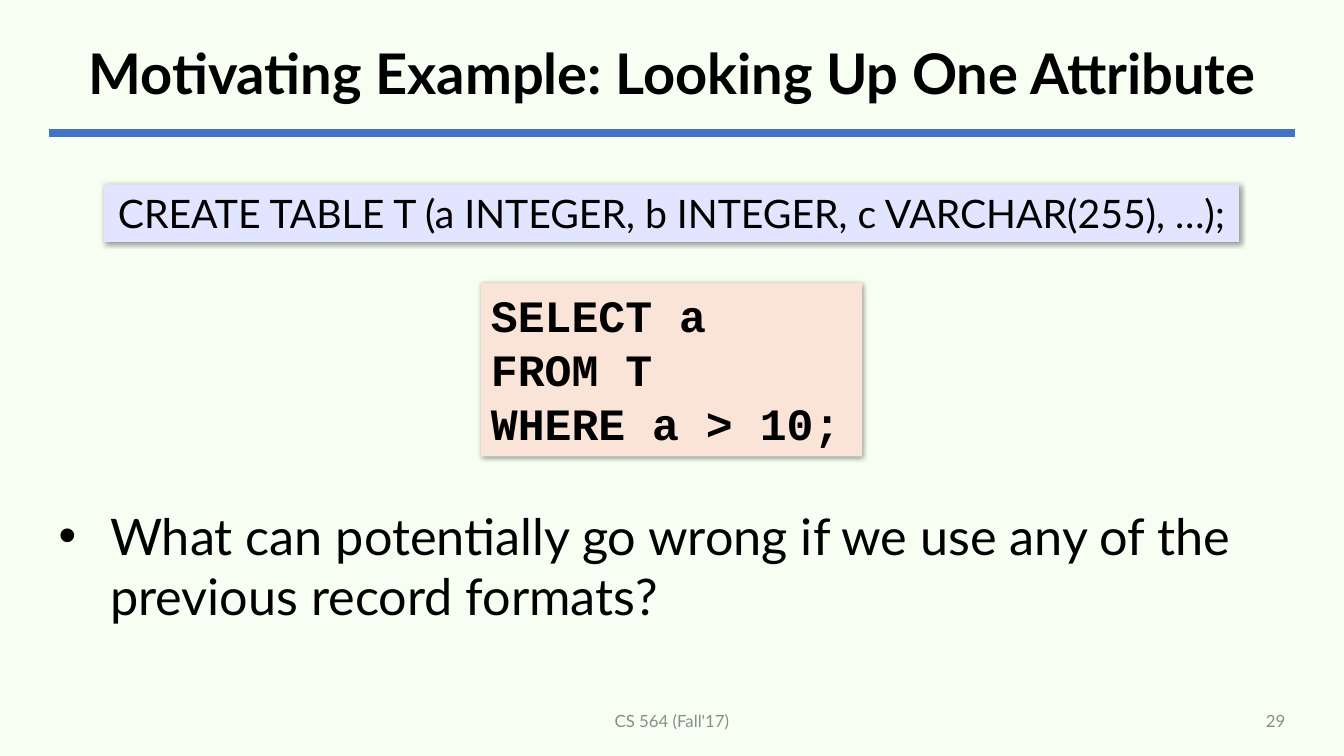
from dataclasses import dataclass

from lxml.etree import SubElement
from pptx import Presentation
from pptx.dml.color import RGBColor
from pptx.enum.shapes import MSO_CONNECTOR, MSO_SHAPE
from pptx.enum.text import MSO_ANCHOR, PP_ALIGN
from pptx.oxml.ns import qn
from pptx.util import Pt


@dataclass(frozen=True)
class Theme:
    """Colours, fonts and type sizes of the slide."""
    background: str = "F7FFF3"
    rule: str = "4472C4"
    ink: str = "000000"
    muted: str = "8C8C8C"
    schema_fill: str = "E2E5FF"
    query_fill: str = "FAE4D7"
    font: str = "Lato"
    code_font: str = "Courier New"
    title_size: int = 40
    question_size: int = 36
    query_size: int = 32
    schema_size: int = 28
    footer_size: int = 12


THEME = Theme()
LEFT, WIDTH = 34.8, 890.4


def apply(target, formats):
    """Set every attribute named in formats on target."""
    for attribute, value in formats.items():
        setattr(target, attribute, value)


def place(shape, left, top, width, height):
    """Move and size a shape in points."""
    apply(shape, {"left": Pt(left), "top": Pt(top), "width": Pt(width), "height": Pt(height)})


def write(shape, lines, size, color=THEME.ink, font=THEME.font, bold=False,
          align=PP_ALIGN.LEFT, anchor=MSO_ANCHOR.TOP, spacing=1.0):
    """Fill a shape with lines of uniformly formatted text."""
    frame = shape.text_frame
    apply(frame, {"text": "\n".join(lines), "word_wrap": True, "vertical_anchor": anchor})
    for paragraph in frame.paragraphs:
        apply(paragraph, {"alignment": align, "line_spacing": spacing})
        for run in paragraph.runs:
            apply(run.font, {"name": font, "size": Pt(size), "bold": bold})
            run.font.color.rgb = RGBColor.from_string(color)


def add_effects(shape):
    """Give a shape an empty effect list and return it."""
    return SubElement(shape._element.spPr, qn("a:effectLst"))


def add_title(slide, title):
    """Place the slide title above its rule."""
    place(slide.shapes.title, LEFT, 17.3, WIDTH, 74.9)
    write(slide.shapes.title, [title], THEME.title_size, bold=True,
          align=PP_ALIGN.CENTER, anchor=MSO_ANCHOR.MIDDLE, spacing=0.9)


def add_rule(slide, top):
    """Draw the rule below the title."""
    rule = slide.shapes.add_connector(
        MSO_CONNECTOR.STRAIGHT, Pt(LEFT), Pt(top), Pt(LEFT + WIDTH), Pt(top))
    rule.line.color.rgb = RGBColor.from_string(THEME.rule)
    rule.line.width = Pt(6)
    add_effects(rule)


def add_text(slide, box, lines, size, **formats):
    """Add a wrapped text box and return it."""
    text = slide.shapes.add_textbox(*map(Pt, box))
    write(text, lines, size, **formats)
    return text


def add_bullet(slide, box, question):
    """Add a bulleted question with a hanging indent."""
    bullet = add_text(slide, box, [question], THEME.question_size)
    properties = bullet.text_frame.paragraphs[0]._p.get_or_add_pPr()
    properties.set("marL", str(Pt(36.7)))
    properties.set("indent", str(-Pt(36.7)))
    SubElement(properties, qn("a:buFont"), typeface="Arial")
    SubElement(properties, qn("a:buChar"), char="•")


def add_statement(slide, box, fill, lines, size, **formats):
    """Add a filled SQL box with a soft shadow."""
    statement = slide.shapes.add_shape(MSO_SHAPE.RECTANGLE, *map(Pt, box))
    statement.fill.solid()
    statement.fill.fore_color.rgb = RGBColor.from_string(fill)
    statement.line.fill.background()
    shadow = SubElement(add_effects(statement), qn("a:outerShdw"), blurRad=str(Pt(4)),
                        dist=str(Pt(1)), dir="2700000", algn="tl", rotWithShape="0")
    color = SubElement(shadow, qn("a:srgbClr"), val=THEME.ink)
    SubElement(color, qn("a:alpha"), val="40000")
    write(statement, lines, size, **formats)


def main():
    """Build the slide and save it."""
    deck = Presentation()
    apply(deck, {"slide_width": Pt(960), "slide_height": Pt(540)})
    slide = deck.slides.add_slide(deck.slide_layouts[5])
    slide.background.fill.solid()
    slide.background.fill.fore_color.rgb = RGBColor.from_string(THEME.background)

    add_rule(slide, 95)
    add_title(slide, "Motivating Example: Looking Up One Attribute")
    add_bullet(slide, (LEFT, 357, WIDTH, 94),
               "What can potentially go wrong if we use any of the previous record formats?")
    footer = {"color": THEME.muted, "anchor": MSO_ANCHOR.MIDDLE}
    add_text(slide, (318, 500.4, 324, 28.8), ["CS 564 (Fall'17)"], THEME.footer_size,
             align=PP_ALIGN.CENTER, **footer)
    add_text(slide, (678, 500.4, 247.2, 28.8), ["29"], THEME.footer_size,
             align=PP_ALIGN.RIGHT, **footer)
    add_statement(slide, (343.6, 202.3, 272.2, 123.8), THEME.query_fill,
                  ["SELECT a", "FROM T", "WHERE a > 10;"], THEME.query_size,
                  font=THEME.code_font, bold=True)
    add_statement(slide, (74.2, 131.8, 810.8, 41), THEME.schema_fill,
                  ["CREATE TABLE T (a INTEGER, b INTEGER, c VARCHAR(255), …);"],
                  THEME.schema_size, align=PP_ALIGN.CENTER)


    deck.save("out.pptx")


if __name__ == "__main__":
    main()
